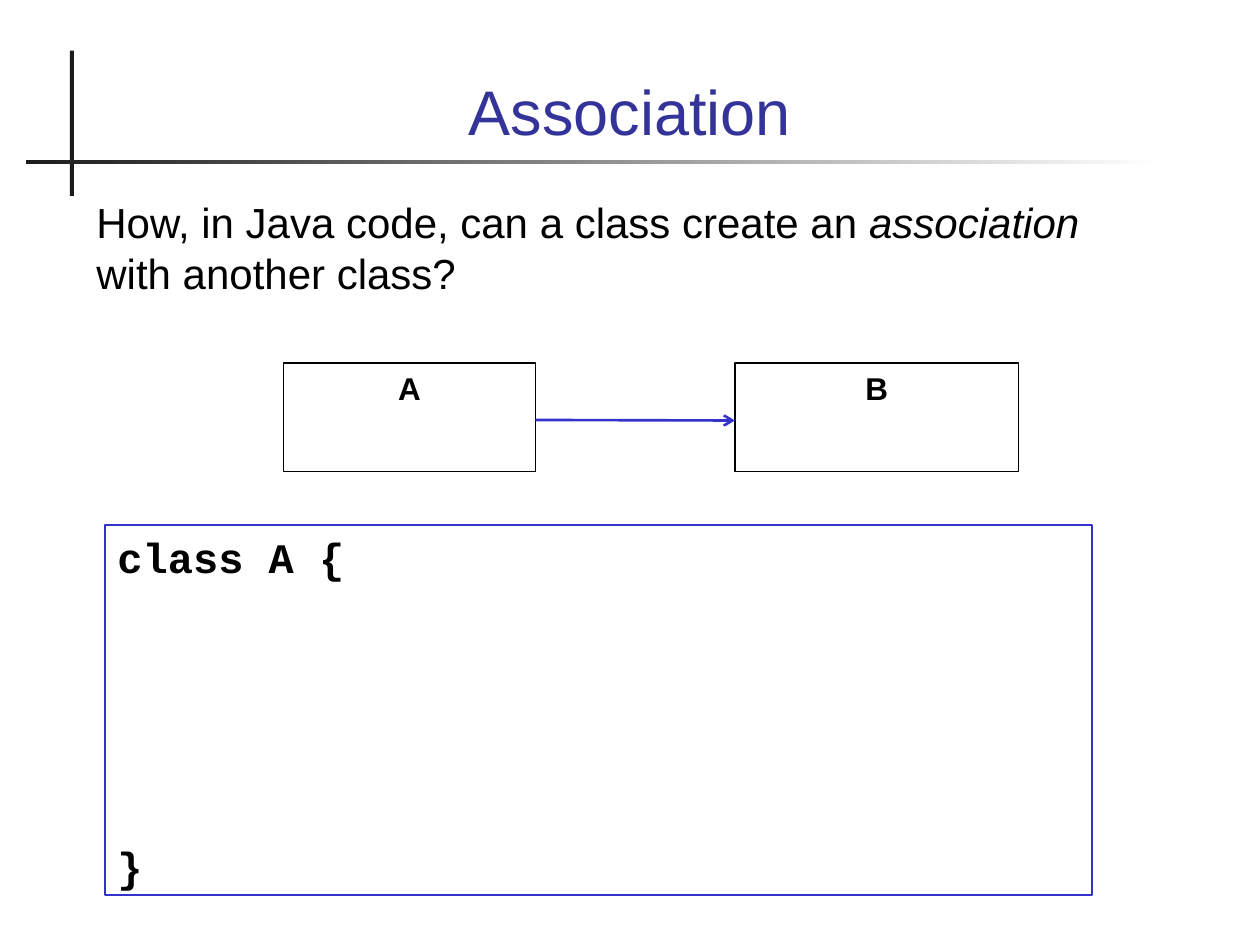
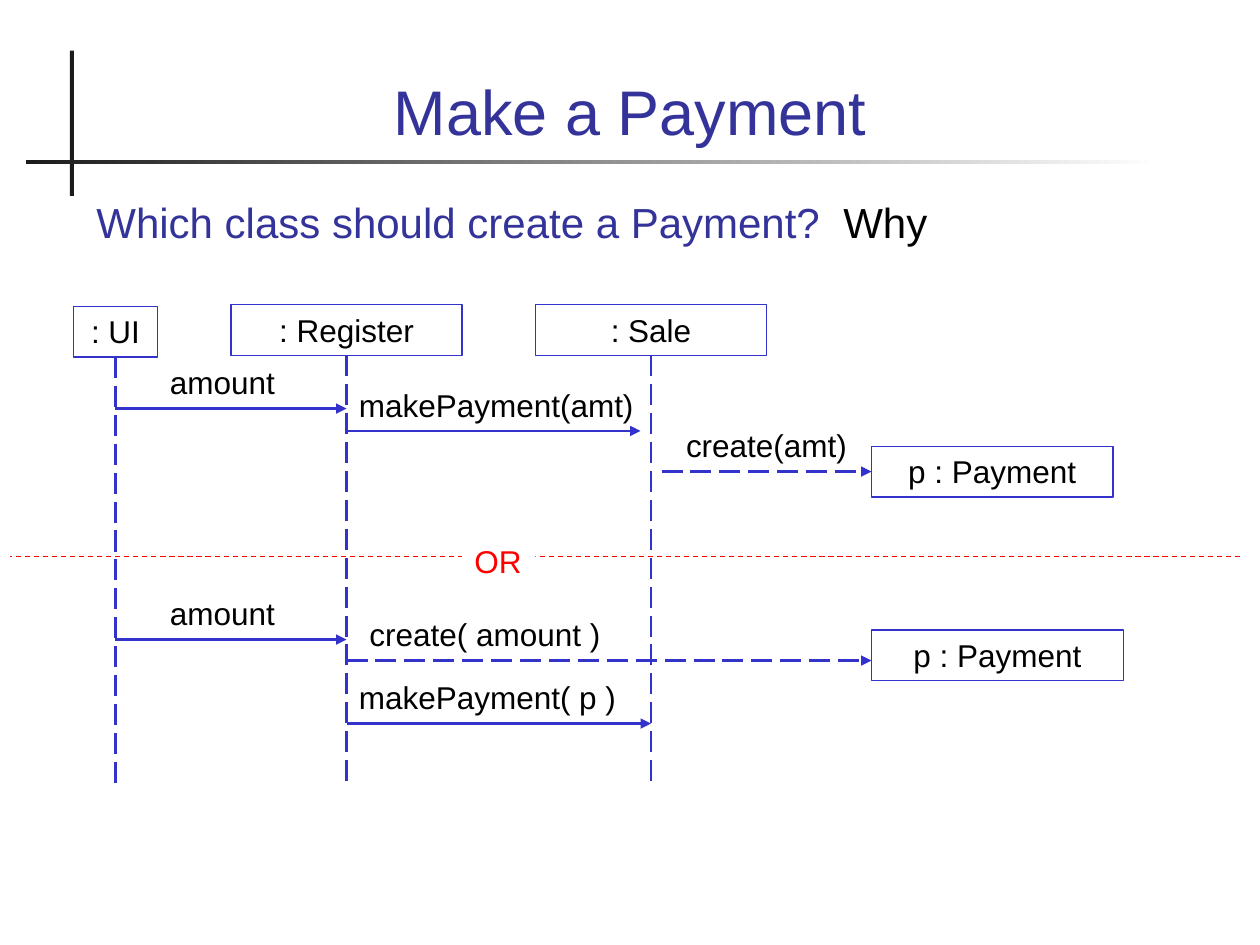
from lxml.etree import SubElement
from pptx import Presentation
from pptx.dml.color import RGBColor
from pptx.enum.dml import MSO_LINE_DASH_STYLE as DASH
from pptx.enum.shapes import MSO_CONNECTOR, MSO_SHAPE
from pptx.enum.text import MSO_ANCHOR as ANCHOR, PP_ALIGN as ALIGN
from pptx.oxml.ns import qn
from pptx.util import Pt

BLACK = RGBColor(0x00, 0x00, 0x00)
WHITE = RGBColor(0xFF, 0xFF, 0xFF)
CHARCOAL = RGBColor(0x1C, 0x1C, 0x1C)
NAVY = RGBColor(0x33, 0x33, 0x99)
BLUE = RGBColor(0x33, 0x33, 0xCC)
RED = RGBColor(0xFF, 0x00, 0x00)

ROW_HEIGHT = 29
LABEL_RISE = 29.5
PAYMENT_LEFT = 498


def write(frame, *paragraphs, size=18, font="Arial", color=BLACK, bold=False,
          align=ALIGN.LEFT, anchor=ANCHOR.TOP, gap=0):
    """Fill a frame; a paragraph is a list of (text, font overrides) runs.

    gap is the space in points before each paragraph after the first.
    """
    frame.word_wrap = True
    frame.vertical_anchor = anchor
    frame.margin_left = frame.margin_right = Pt(7.2)
    frame.margin_top = frame.margin_bottom = Pt(3.6)
    for index, runs in enumerate(paragraphs):
        paragraph = frame.add_paragraph() if index else frame.paragraphs[0]
        paragraph.alignment = align
        paragraph.space_before = Pt(gap if index else 0)
        for text, overrides in runs:
            run = paragraph.add_run()
            run.text = text
            run.font.name = font
            run.font.size = Pt(size)
            run.font.bold = bold
            run.font.italic = overrides.get("italic", False)
            run.font.color.rgb = overrides.get("color", color)


class Deck:
    """Holds the presentation, its shared style and the current slide."""

    def __init__(self):
        self.presentation = Presentation()
        self.presentation.slide_width = Pt(720)
        self.presentation.slide_height = Pt(540)
        self.slide = None

    def new_slide(self, title, question):
        blank = self.presentation.slide_layouts[6]
        self.slide = self.presentation.slides.add_slide(blank)
        self.box(40, 29, 2.2, 83, fill=CHARCOAL)
        rule = self.box(15, 91.4, 647, 2.2)
        rule.fill.gradient()
        rule.fill.gradient_angle = 0
        for stop, color in zip(rule.fill.gradient_stops, (CHARCOAL, WHITE)):
            stop.color.rgb = color
        self.text(48, 20, 624, 68, [(title, {})], size=36, color=NAVY,
                  align=ALIGN.CENTER, anchor=ANCHOR.BOTTOM)
        self.text(48, 109, 624, 66, question, size=24)

    def text(self, left, top, width, height, *paragraphs, **style):
        area = self.slide.shapes.add_textbox(
            Pt(left), Pt(top), Pt(width), Pt(height))
        write(area.text_frame, *paragraphs, **style)

    def box(self, left, top, width, height, *paragraphs, fill=None,
            outline=None, weight=0.75, **style):
        box = self.slide.shapes.add_shape(
            MSO_SHAPE.RECTANGLE, Pt(left), Pt(top), Pt(width), Pt(height))
        box.shadow.inherit = False
        if fill is None:
            box.fill.background()
        else:
            box.fill.solid()
            box.fill.fore_color.rgb = fill
        if outline is None:
            box.line.fill.background()
        else:
            box.line.color.rgb = outline
            box.line.width = Pt(weight)
        if paragraphs:
            write(box.text_frame, *paragraphs, **style)
        return box

    def line(self, x1, y1, x2, y2, color=BLUE, weight=1.5, dash=None,
             head=None):
        line = self.slide.shapes.add_connector(
            MSO_CONNECTOR.STRAIGHT, Pt(x1), Pt(y1), Pt(x2), Pt(y2))
        line.line.color.rgb = color
        line.line.width = Pt(weight)
        if dash:
            line.line.dash_style = dash
        if head:
            SubElement(line.line._get_or_add_ln(), qn("a:tailEnd"), type=head)
        SubElement(line._element.spPr, qn("a:effectLst"))

    def participant(self, name, left, top, width):
        self.box(left, top, width, ROW_HEIGHT, [(name, {})], outline=BLUE,
                 align=ALIGN.CENTER)

    def lifeline(self, name, left, top, width):
        self.participant(name, left, top, width)
        center = left + width / 2
        self.line(center, top + ROW_HEIGHT, center, 449, dash=DASH.LONG_DASH)

    def message(self, label, start, end, y, label_left, label_width,
                creates=False, align=ALIGN.LEFT):
        """Draw a labelled arrow, dashed when it creates an object."""
        self.line(start, y, end, y, head="triangle",
                  dash=DASH.LONG_DASH if creates else None)
        self.text(label_left, y - LABEL_RISE, label_width, ROW_HEIGHT,
                  [(label, {})], align=align)


def add_association(deck):
    deck.new_slide("Association", [
        ("How, in Java code, can a class create an ", {}),
        ("association", {"italic": True}),
        (" with another class?", {})])
    for name, left, width in (("A", 162, 144), ("B", 420, 162)):
        deck.box(left, 207.5, width, 62, [(name, {})], outline=BLACK,
                 weight=1, bold=True, align=ALIGN.CENTER)
    deck.line(306, 240, 420, 240.3, head="arrow")
    deck.box(60, 300, 564, 211.5, [("class A {", {})], [("}", {})],
             outline=BLUE, size=24, font="Courier New", bold=True, gap=148)


def add_payment(deck):
    deck.new_slide("Make a Payment", [
        ("Which class should create a Payment?", {"color": NAVY}),
        ("  Why", {})])
    ui, register, sale = 66, 198, 372
    deck.lifeline(": UI", 42, 175, 48)
    deck.lifeline(": Register", 132, 174, 132)
    deck.lifeline(": Sale", 306, 174, 132)
    for top, width in ((255, 138), (360, 144)):
        deck.participant("p : Payment", PAYMENT_LEFT, top, width)

    for y in (233.5, 365.5):
        deck.message("amount", ui, register, y, 90, 96)
    deck.message("makePayment(amt)", register, 366, 246.3, register, 174)
    deck.message("create(amt)", 378, PAYMENT_LEFT, 269.5, 378, 120,
                 creates=True, align=ALIGN.CENTER)
    deck.message("create( amount )", register, PAYMENT_LEFT, 377.5, 204, 150,
                 creates=True)
    deck.message("makePayment( p )", register, sale, 413.5, register, 174)

    deck.line(708.5, 318, 5.5, 318, color=RED, weight=0.75, dash=DASH.DASH)
    deck.box(264, 306, 42, ROW_HEIGHT, [("OR", {})], fill=WHITE, color=RED)


def main():
    deck = Deck()
    add_association(deck)
    add_payment(deck)
    deck.presentation.save("out.pptx")


if __name__ == "__main__":
    main()
